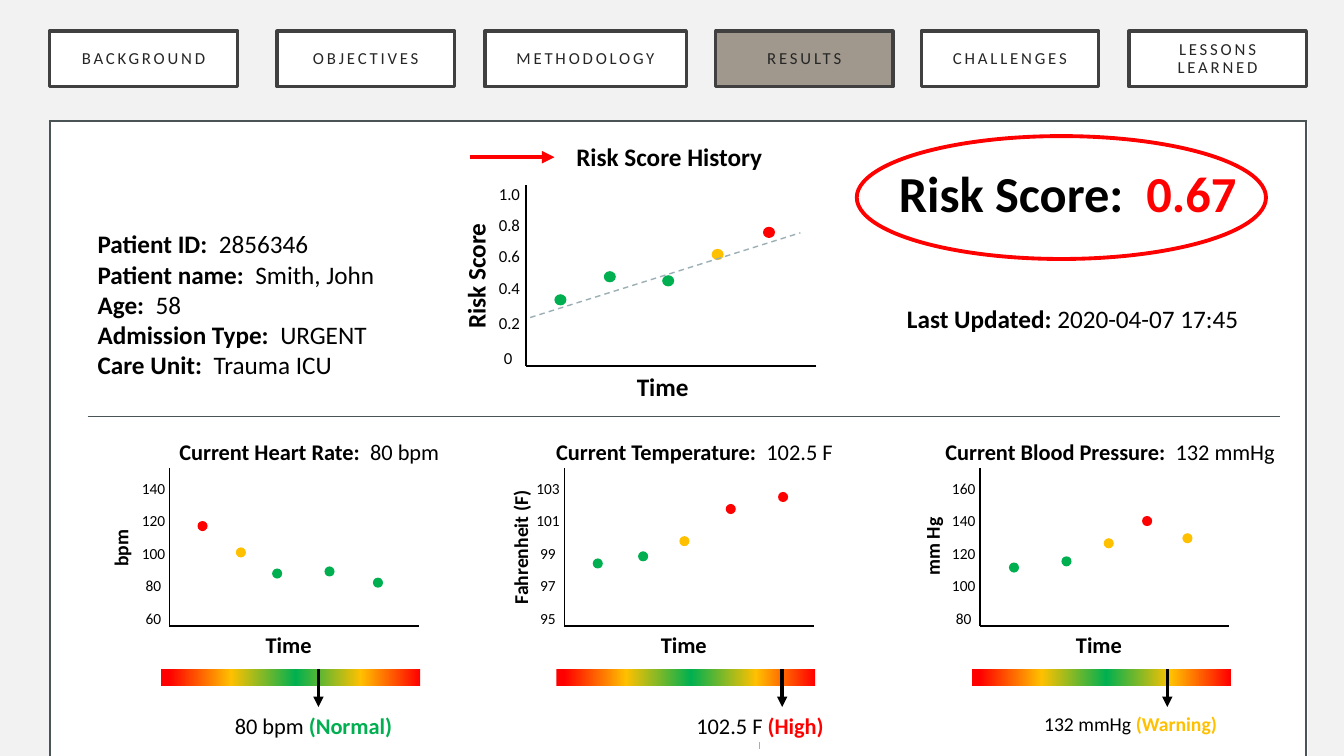
from dataclasses import dataclass

from lxml.etree import SubElement
from pptx import Presentation
from pptx.dml.color import RGBColor
from pptx.enum.dml import MSO_LINE
from pptx.enum.shapes import MSO_CONNECTOR, MSO_SHAPE
from pptx.enum.text import MSO_ANCHOR, PP_ALIGN
from pptx.oxml.ns import qn
from pptx.util import Pt

FONT = "Calibri"
BLACK, WHITE, SLATE = "000000", "FFFFFF", "4A5356"
RED, AMBER, GREEN = "FF0000", "FFC000", "00B050"

NAVIGATION = [
    ("BACKGROUND", 35.3, 134.6),
    ("OBJECTIVES", 198, 126.7),
    ("METHODOLOGY", 346.3, 144),
    ("RESULTS", 511.2, 126.7),
    ("CHALLENGES", 658.1, 126.7),
    ("LESSONS\nLEARNED", 806.4, 126.7),
]
PATIENT = [
    ("Patient ID:  ", "2856346"),
    ("Patient name:  ", "Smith, John"),
    ("Age:  ", "58"),
    ("Admission Type:  ", "URGENT"),
    ("Care Unit:  ", "Trauma ICU"),
]
RISK_TICKS = [("1.0", 127.4), ("0.8", 149.8), ("0.6", 172.1),
              ("0.4", 195.1), ("0.2", 219.6), ("0", 244.8)]
RISK_DOTS = [(396, 210.2, GREEN), (431.3, 193.7, GREEN), (473, 196.6, GREEN),
             (508.3, 177.8, AMBER), (545, 162, RED)]
SCALE_STOPS = [(0, RED), (3, RED), (27, AMBER), (52, GREEN), (77, AMBER), (100, RED)]


@dataclass
class Vital:
    name: str
    value: str
    heading: tuple  # left, width
    axis_left: float
    unit: str
    unit_box: tuple  # left, top, width
    ticks: tuple
    tick_left: float
    dots: list
    arrow_left: float
    status: str
    status_color: str
    reading: tuple  # left, width, text size


VITALS = [
    Vital("Current Heart Rate:  ", "80 bpm", (121, 203.8), 121,
          "bpm", (56.2, 369.4, 60.5), (140, 120, 100, 80, 60), 94.2,
          [(141.1, 372.2, RED), (168.5, 391, AMBER), (194.4, 406.1, GREEN),
           (231.8, 404.6, GREEN), (266.4, 412.6, GREEN)],
          227.5, "(Normal)", GREEN, (160.6, 138.2, 16)),
    Vital("Current Temperature:  ", "102.5 F", (390.2, 216), 403.2,
          "Fahrenheit (F)", (317.5, 372.2, 108.7), (103, 101, 99, 97, 95), 376,
          [(423.4, 398.9, GREEN), (455.8, 393.8, GREEN), (485.3, 383, AMBER),
           (518.4, 360, RED), (555.8, 351.4, RED)],
          558.7, "(High)", RED, (490.3, 121, 16)),
    Vital("Current Blood Pressure:  ", "132 mmHg", (668.2, 256.3), 699.8,
          "mm Hg", (632.9, 373, 66.2), (160, 140, 120, 100, 80), 672.9,
          [(720.7, 401.8, GREEN), (758.2, 397.4, GREEN), (788.4, 384.5, AMBER),
           (815.8, 368.6, RED), (844.6, 380.9, AMBER)],
          833.8, "(Warning)", AMBER, (738.7, 138.2, 14)),
]


def rgb(color):
    return RGBColor.from_string(color)


def style_span(span, size, color, bold=False):
    span.font.name = FONT
    span.font.size = Pt(size)
    span.font.bold = bold
    span.font.color.rgb = rgb(color)


def add_text(shapes, left, top, width, height, size, *lines, rotation=0):
    """Each line is a list of (text, bold, color) spans."""
    box = shapes.add_textbox(Pt(left), Pt(top), Pt(width), Pt(height))
    box.rotation = rotation
    frame = box.text_frame
    frame.word_wrap = True
    for index, spans in enumerate(lines):
        para = frame.add_paragraph() if index else frame.paragraphs[0]
        for text, bold, color in spans:
            span = para.add_run()
            span.text = text
            style_span(span, size, color, bold)


def add_label(shapes, text, left, top, width, height, size, bold=True, rotation=0):
    add_text(shapes, left, top, width, height, size, [(text, bold, BLACK)], rotation=rotation)


def add_shape(shapes, kind, left, top, width, height, fill=None, line=None, weight=1):
    shape = shapes.add_shape(kind, Pt(left), Pt(top), Pt(width), Pt(height))
    shape.shadow.inherit = False
    if fill:
        shape.fill.solid()
        shape.fill.fore_color.rgb = rgb(fill)
    else:
        shape.fill.background()
    if line:
        shape.line.color.rgb = rgb(line)
        shape.line.width = Pt(weight)
    else:
        shape.line.fill.background()
    return shape


def add_line(shapes, start, end, color, weight, dash=None, arrow=False):
    line = shapes.add_connector(MSO_CONNECTOR.STRAIGHT, *map(Pt, start + end))
    line.line.color.rgb = rgb(color)
    line.line.width = Pt(weight)
    if dash:
        line.line.dash_style = dash
    properties = line._element.spPr
    if arrow:
        SubElement(properties.find(qn("a:ln")), qn("a:tailEnd"), type="triangle")
    SubElement(properties, qn("a:effectLst"))


def add_dots(shapes, dots, width, height):
    for left, top, color in dots:
        add_shape(shapes, MSO_SHAPE.OVAL, left, top, width, height, color)


def add_axes(shapes, left, top, bottom, length):
    add_line(shapes, (left, top), (left, bottom), BLACK, 1.25)
    add_line(shapes, (left + length, bottom), (left, bottom), BLACK, 1.25)


def add_scale(shapes, left, top, width, height):
    """Bar that fades from red through green to red."""
    bar = add_shape(shapes, MSO_SHAPE.RECTANGLE, left, top, width, height)
    bar.fill.gradient()
    bar.fill.gradient_angle = 0
    stops = bar._element.spPr.find(qn("a:gradFill")).find(qn("a:gsLst"))
    for stop in list(stops):
        stops.remove(stop)
    for percent, color in SCALE_STOPS:
        stop = SubElement(stops, qn("a:gs"), pos=str(percent * 1000))
        SubElement(stop, qn("a:srgbClr"), val=color)


def add_tab(shapes, text, left, width):
    fill = "A0988C" if text == "RESULTS" else WHITE
    tab = add_shape(shapes, MSO_SHAPE.RECTANGLE, left, 22.3, width, 39.6, fill, "404040", 2.5)
    frame = tab.text_frame
    frame.text = text
    frame.word_wrap = True
    frame.vertical_anchor = MSO_ANCHOR.MIDDLE
    frame.margin_left = frame.margin_right = Pt(14.4)
    frame.margin_top = frame.margin_bottom = Pt(14.4)
    for para in frame.paragraphs:
        para.alignment = PP_ALIGN.CENTER
        para.line_spacing = 0.9
        for span in para.runs:
            style_span(span, 12, "262626")
            span.font._element.set("spc", "200")


def add_risk_history(shapes):
    add_axes(shapes, 375.8, 132.5, 261.4, 207.4)
    add_label(shapes, "Risk Score History", 404.6, 97.2, 149, 29, 18)
    add_label(shapes, "Time", 447.8, 261.4, 60.5, 29, 18)
    add_label(shapes, "Risk Score", 288, 175.7, 103.7, 29, 18, rotation=270)
    for text, top in RISK_TICKS:
        left = 352.8 if text == "0" else 349.2
        add_label(shapes, text, left, top, 38.9, 21.8, 12, bold=False)
    add_dots(shapes, RISK_DOTS, 8.6, 8)
    add_line(shapes, (378.7, 226.8), (571.7, 166.3), "9BAFB5", 1, MSO_LINE.DASH)


def add_vital(shapes, vital):
    axis = vital.axis_left
    left, width = vital.heading
    add_axes(shapes, axis, 334.6, 447, 178.2)
    add_text(shapes, left, 309.2, width, 26.6, 16,
             [(vital.name, True, BLACK), (vital.value, False, BLACK)])
    add_label(shapes, "Time", axis + 61.7, 447.4, 52.6, 26.6, 16)
    add_label(shapes, vital.unit, *vital.unit_box, 24.5, 14, rotation=270)
    for index, tick in enumerate(vital.ticks):
        shift = 0 if tick >= 100 else 2.7
        add_label(shapes, str(tick), vital.tick_left + shift, 338.4 + 23.3 * index,
                  34, 20.9, 11, bold=False)
    add_dots(shapes, vital.dots, 7.2, 7.2)
    add_scale(shapes, axis - 5.8, 477.6, 185, 12.2)
    add_line(shapes, (vital.arrow_left, 478), (vital.arrow_left, 505), BLACK, 2.5, arrow=True)
    left, width, size = vital.reading
    add_text(shapes, left, 505, width, 26.6, size,
             [(vital.value + " ", False, BLACK), (vital.status, True, vital.status_color)])


def main():
    deck = Presentation()
    deck.slide_width, deck.slide_height = Pt(960), Pt(540)
    page = deck.slides.add_slide(deck.slide_layouts[6])
    page.background.fill.solid()
    page.background.fill.fore_color.rgb = rgb("F2F2F2")
    shapes = page.shapes

    add_shape(shapes, MSO_SHAPE.RECTANGLE, 36, 87.8, 897.8, 452.2, WHITE, WHITE)
    for tab in NAVIGATION:
        add_tab(shapes, *tab)
    add_line(shapes, (542.2, 530), (542.2, 535), "F6A21D", 0.5)
    for edge in (35.5, 933.1):
        add_line(shapes, (edge, 86), (edge, 540), SLATE, 1.25)
    add_line(shapes, (35.5, 86.4), (933.1, 86.4), SLATE, 1.25)
    add_line(shapes, (62.6, 297.4), (914.4, 297.4), SLATE, 0.5)

    add_text(shapes, 62.6, 159.8, 229.7, 138.2, 18,
             *[[(name, True, BLACK), (value, False, BLACK)] for name, value in PATIENT])
    add_text(shapes, 635, 112.3, 263.5, 72.7, 36,
             [("Risk Score:  ", True, BLACK), ("0.67", True, RED)])
    add_risk_history(shapes.add_group_shape().shapes)
    for vital in VITALS:
        add_vital(shapes.add_group_shape().shapes, vital)
    add_text(shapes, 640.8, 213.1, 263.5, 51.1, 18,
             [("Last Updated: ", True, BLACK), ("2020-04-07 17:45", False, BLACK)])
    add_shape(shapes, MSO_SHAPE.OVAL, 612, 97.2, 292.3, 87.8, line=RED, weight=2.75)
    add_line(shapes, (335.5, 112.3), (396, 112.3), RED, 3, arrow=True)
    deck.save("out.pptx")


if __name__ == "__main__":
    main()
